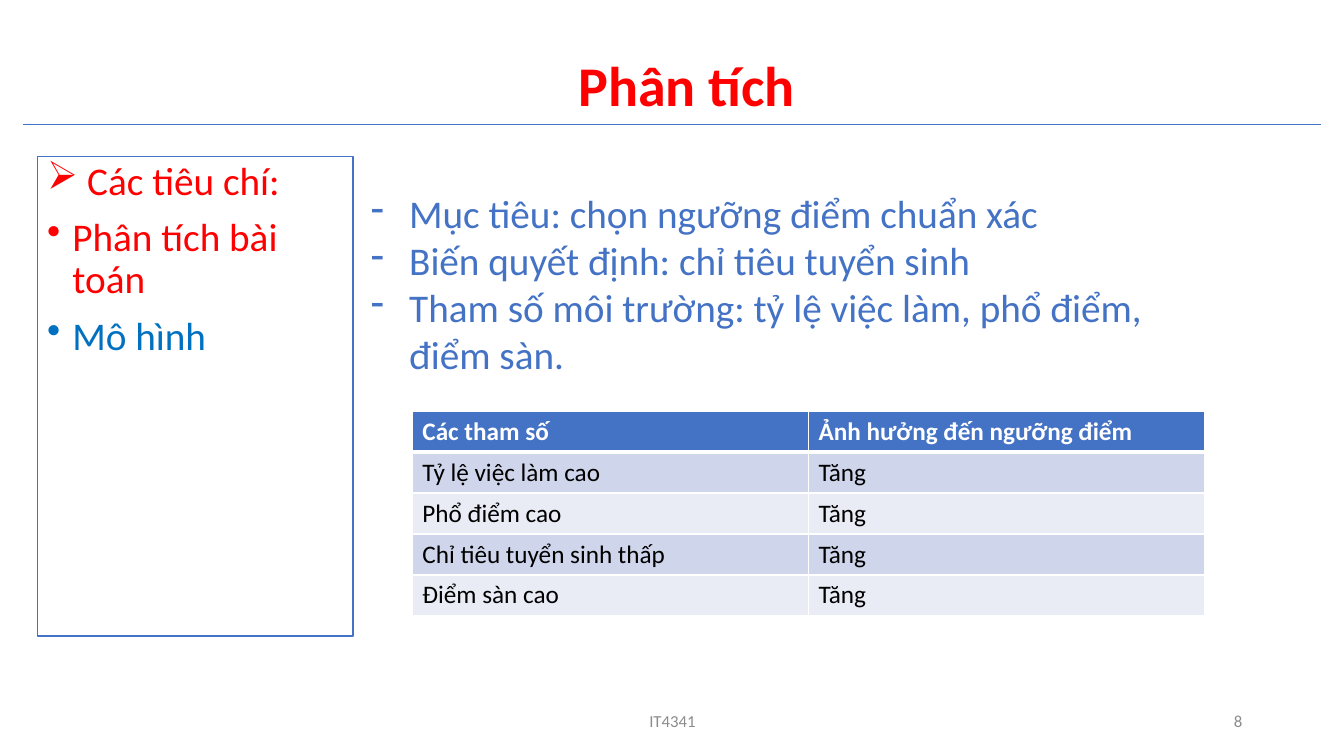
import pptx
import pptx.util
import pptx.dml.color
import pptx.enum.shapes
import pptx.enum.text
import pptx.oxml
import pptx.oxml.ns
import lxml.etree

ALIGN = pptx.enum.text.PP_ALIGN
ANCHOR = pptx.enum.text.MSO_ANCHOR
BLUE, RED, GRAY, WHITE = "4472C4", "FF0000", "8C8C8C", "FFFFFF"
BANDS = ["CFD5EA", "E9EBF5"]


def color(value):
    return pptx.dml.color.RGBColor.from_string(value)


def element(parent, tag, **attributes):
    return lxml.etree.SubElement(parent, pptx.oxml.ns.qn(tag), **attributes)


def part(box, left, top, width, height):
    x, y, w, h = box
    return (int(x + w * left / 100), int(y + h * top / 100),
            int(w * width / 100), int(h * height / 100))


def add_text(tf, text, size=28, fill=BLUE, bold=False, align=ALIGN.LEFT,
             bullet=None, indent=0, line=None, before=0):
    p = tf.paragraphs[0]
    if p.runs:
        p = tf.add_paragraph()
    p.alignment = align
    p.space_before = pptx.util.Pt(before)
    if line:
        p.line_spacing = line
    if bullet:
        step = pptx.util.Inches(indent)
        pPr = p._p.get_or_add_pPr()
        pPr.set("marL", str(step))
        pPr.set("indent", str(-step))
        element(pPr, "a:buChar", char=bullet)
    r = p.add_run()
    r.text = text
    r.font.name = "Calibri"
    r.font.size = pptx.util.Pt(size)
    r.font.bold = bold
    r.font.color.rgb = color(fill)


def add_box(s, box, anchor=ANCHOR.TOP):
    tf = s.shapes.add_textbox(*box).text_frame
    tf.word_wrap = True
    tf.vertical_anchor = anchor
    return tf


def add_header(s, box, title):
    tf = add_box(s, part(box, 14.14, 0, 73.97, 98.75))
    add_text(tf, title, size=40, fill=RED, bold=True, align=ALIGN.CENTER)
    x, y, w, h = box
    rule = s.shapes.add_connector(pptx.enum.shapes.MSO_CONNECTOR.STRAIGHT,
                                  x, y + h, x + w, y + h)
    rule.line.color.rgb = color(BLUE)
    rule.line.width = pptx.util.Pt(0.5)
    element(rule._element.spPr, "a:effectLst")


def add_criteria(s, box, items):
    sp = s.shapes.add_shape(pptx.enum.shapes.MSO_SHAPE.RECTANGLE, *box)
    sp.shadow.inherit = False
    sp.fill.solid()
    sp.fill.fore_color.rgb = color(WHITE)
    sp.line.color.rgb = color(BLUE)
    sp.line.width = pptx.util.Pt(1)
    tf = sp.text_frame
    tf.word_wrap = True
    tf.vertical_anchor = ANCHOR.TOP
    for bullet, text, fill in items:
        add_text(tf, text, fill=fill, bullet=bullet, indent=0.25, line=0.9, before=10)


def add_goals(s, box, items):
    tf = add_box(s, box)
    for text in items:
        add_text(tf, text, bullet="-", indent=0.38)


def set_borders(cell, bottom):
    tcPr = cell._tc.get_or_add_tcPr()
    for index, (side, width) in enumerate([("L", 1), ("R", 1), ("T", 1), ("B", bottom)]):
        ln = pptx.oxml.ns.qn(f"a:ln{side}")
        border = lxml.etree.Element(ln, w=str(pptx.util.Pt(width)))
        element(element(border, "a:solidFill"), "a:srgbClr", val=WHITE)
        tcPr.insert(index, border)


def add_parameters(s, box, rows):
    table = s.shapes.add_table(len(rows), len(rows[0]), *box).table
    for i, row in enumerate(rows):
        header = i == 0
        for j, text in enumerate(row):
            cell = table.cell(i, j)
            cell.fill.solid()
            cell.fill.fore_color.rgb = color(BLUE if header else BANDS[(i - 1) % 2])
            add_text(cell.text_frame, text, size=18, bold=header,
                     fill=WHITE if header else "000000")
            set_borders(cell, 3 if header or i == 0 else 1)


def add_footer(s, box, label, number):
    for left, width, text, align in [(0, 56.25, label, ALIGN.CENTER),
                                     (62.5, 37.5, number, ALIGN.RIGHT)]:
        tf = add_box(s, part(box, left, 0, width, 100), ANCHOR.MIDDLE)
        add_text(tf, text, size=12, fill=GRAY, align=align)


prs = pptx.Presentation()
prs.slide_width = pptx.util.Inches(13.33)
prs.slide_height = pptx.util.Inches(7.5)
s = prs.slides.add_slide(prs.slide_layouts[6])
page = (0, 0, prs.slide_width, prs.slide_height)

add_header(s, part(page, 1.73, 6, 96.55, 10.4), "Phân tích")
add_goals(s, part(page, 26.86, 24.4, 64.14, 32.8), [
    "Mục tiêu: chọn ngưỡng điểm chuẩn xác",
    "Biến quyết định: chỉ tiêu tuyển sinh",
    "Tham số môi trường: tỷ lệ việc làm, phổ điểm, điểm sàn.",
])
add_criteria(s, part(page, 2.78, 20.67, 23.48, 63.47), [
    ("➢", " Các tiêu chí:", RED),
    ("•", "Phân tích bài toán", RED),
    ("•", "Mô hình", "0070C0"),
])
add_parameters(s, part(page, 30.68, 54.4, 58.96, 27.07), [
    ("Các tham số", "Ảnh hưởng đến ngưỡng điểm"),
    ("Tỷ lệ việc làm cao", "Tăng"),
    ("Phổ điểm cao", "Tăng"),
    ("Chỉ tiêu tuyển sinh thấp", "Tăng"),
    ("Điểm sàn cao", "Tăng"),
])
add_footer(s, part(page, 33.16, 92.67, 60.01, 5.33), "IT4341", "8")

prs.save("out.pptx")
